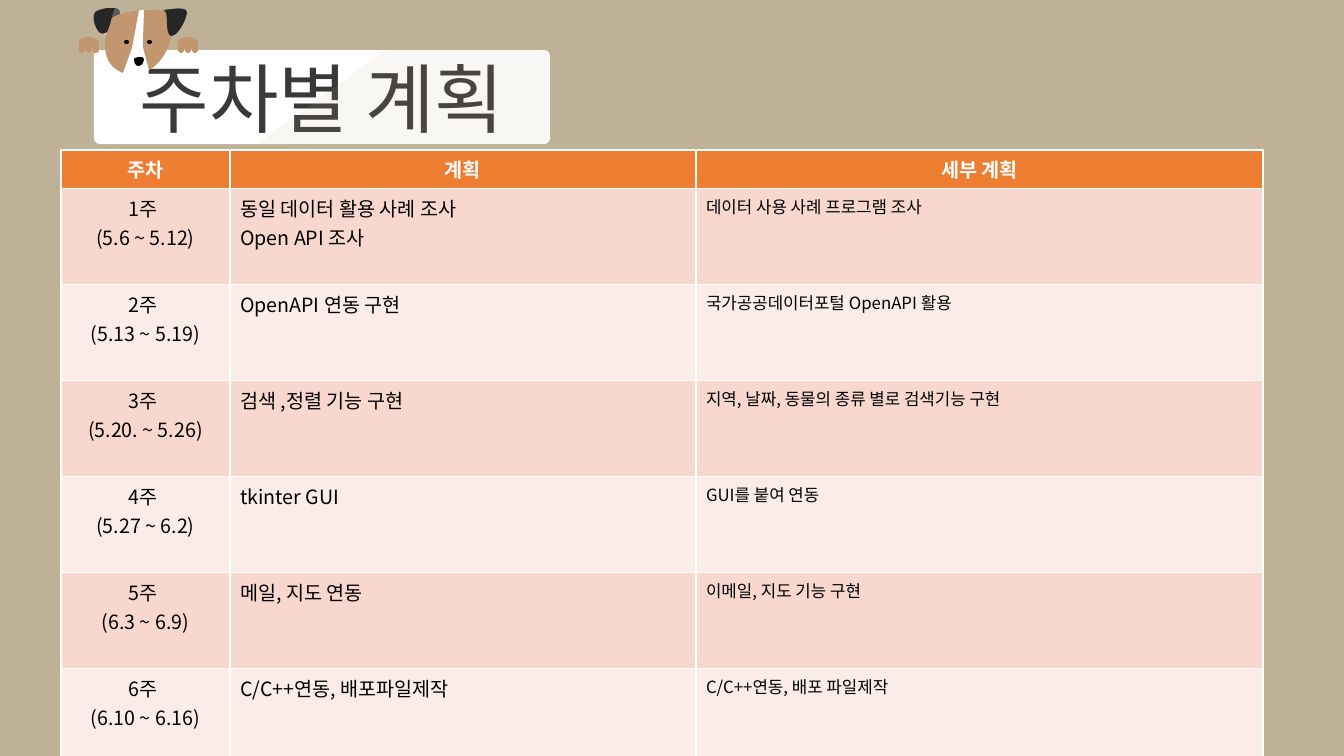
from lxml import etree
from pptx import Presentation
from pptx.dml.color import RGBColor
from pptx.enum.shapes import MSO_SHAPE
from pptx.enum.text import MSO_ANCHOR, PP_ALIGN
from pptx.oxml.ns import qn
from pptx.util import Pt

ROUND, OVAL = MSO_SHAPE.ROUNDED_RECTANGLE, MSO_SHAPE.OVAL
LEFT, MID = PP_ALIGN.LEFT, PP_ALIGN.CENTER
FACE = "Noto Sans CJK KR"
WIDE, HIGH = 1344, 756
UNIT = 12192000 / WIDE
HUES = {
    "sand": "BFB198", "white": "FFFFFF", "ink": "3B3838", "black": "000000",
    "head": "ED7D31", "odd": "F8D7CE", "even": "FCECE8",
    "fur": "C2966E", "gray": "595959", "dark": "262626",
}

TITLE = "주차별 계획"
HEADS = ["주차", "계획", "세부 계획"]
WEEKS = [
    ("1주 \n(5.6 ~ 5.12)", "동일 데이터 활용 사례 조사\nOpen API 조사", "데이터 사용 사례 프로그램 조사"),
    ("2주 \n(5.13 ~ 5.19)", "OpenAPI 연동 구현", "국가공공데이터포털 OpenAPI 활용"),
    ("3주 \n(5.20. ~ 5.26)", "검색 ,정렬 기능 구현", "지역, 날짜, 동물의 종류 별로 검색기능 구현"),
    ("4주 \n(5.27 ~ 6.2)", "tkinter GUI", "GUI를 붙여 연동"),
    ("5주 \n(6.3 ~ 6.9)", "메일, 지도 연동", "이메일, 지도 기능 구현"),
    ("6주 \n(6.10 ~ 6.16)", "C/C++연동, 배포파일제작", "C/C++연동, 배포 파일제작"),
]
COLS = [169, 466, 567]
ROWS = [37] + [96] * len(WEEKS)
SIZES = [14, 14, 12]

SHADE = [(386, 50), (536, 50), (543, 50, 549, 52, 549, 56), (549, 138),
         (549, 141, 543, 144, 536, 144), (257, 144)]
PALM = [(9, 0), (15, 0, 19, 2, 19, 5), (19, 7, 19, 9, 19, 11), (0, 11), (0, 5),
        (0, 2, 4, 0, 9, 0)]
PAWS = [178, 79]
DOG = [
    ("gray", [[(185, 12), (185, 8, 176, 8, 172, 9), (168, 9, 162, 9, 159, 15),
               (157, 21, 165, 33, 167, 34), (168, 36, 172, 36, 174, 34), (181, 27, 185, 16, 185, 12)]]),
    ("gray", [[(96, 14), (97, 10, 105, 9, 109, 8), (113, 8, 119, 7, 120, 12),
               (121, 17, 112, 30, 110, 32), (108, 34, 105, 34, 103, 33), (97, 27, 95, 18, 96, 14)]]),
    ("white", [[(106, 26), (109, 15, 132, 11, 143, 10), (155, 9, 172, 11, 173, 20),
                (175, 30, 161, 58, 152, 68), (143, 76, 124, 75, 119, 71), (103, 55, 104, 36, 106, 26)]]),
    ("fur", [[(139, 10), (132, 48), (128, 60, 128, 60, 123, 73), (99, 64, 105, 36, 107, 26),
              (108, 16, 122, 13, 133, 11)],
             [(143, 47), (143, 37, 144, 15, 144, 10), (154, 9, 173, 10, 173, 20),
              (174, 30, 170, 58, 149, 70)]]),
    ("black", [[(134, 59), (134, 58, 138, 57, 139, 57), (141, 57, 144, 57, 144, 59),
                (144, 60, 143, 66, 139, 66), (135, 67, 134, 61, 134, 59)]]),
    ("dark", [[(94, 14), (95, 10, 103, 9, 107, 8), (111, 8, 112, 8, 115, 8),
               (113, 11, 113, 13, 112, 17), (111, 21, 109, 29, 107, 32),
               (105, 34, 102, 34, 100, 33), (94, 27, 93, 18, 94, 14)]]),
    ("dark", [[(187, 12), (187, 8, 178, 8, 174, 9), (170, 9, 169, 9, 165, 10),
               (167, 13, 166, 15, 167, 19), (167, 23, 167, 32, 169, 34),
               (170, 37, 174, 36, 176, 34), (183, 27, 187, 16, 187, 12)]]),
]
EYES = [124, 147]


def px(n):
    return round(n * UNIT)


def hue(name):
    return RGBColor.from_string(HUES[name])


def paint(shape, name):
    shape.shadow.inherit = False
    shape.fill.solid()
    shape.fill.fore_color.rgb = hue(name)
    shape.line.fill.background()
    return shape


def block(kind, box, name):
    return paint(slide.shapes.add_shape(kind, *map(px, box)), name)


def trace(loops, name, dx=0, dy=0):
    form = None
    for loop in loops:
        dots = [(px(step[i] + dx), px(step[i + 1] + dy))
                for step in loop for i in range(0, len(step), 2)]
        if form is None:
            form = slide.shapes.build_freeform(*dots[0])
        else:
            form.move_to(*dots[0])
        form.add_line_segments(dots[1:], close=True)
    shape = paint(form.convert_to_shape(), name)
    lines = iter(list(shape._element.iter(qn("a:lnTo"))))
    for loop in loops:
        for step in loop[1:]:
            first = next(lines)
            if len(step) == 6:
                first.tag = qn("a:cubicBezTo")
                for spare in (next(lines), next(lines)):
                    first.append(spare[0])
                    spare.getparent().remove(spare)
    return shape


def write(frame, text, size, name, align, bold=False):
    frame.text = text
    for para in frame.paragraphs:
        para.alignment = align
        font = para.font
        font.name, font.size, font.bold = FACE, Pt(size), bold
        font.color.rgb = hue(name)


deck = Presentation()
deck.slide_width, deck.slide_height = px(WIDE), px(HIGH)
slide = deck.slides.add_slide(deck.slide_layouts[6])
slide.background.fill.solid()
slide.background.fill.fore_color.rgb = hue("sand")

card = block(ROUND, (94, 50, 456, 94), "white")
card.adjustments[0] = 0.06
card.text_frame.vertical_anchor = MSO_ANCHOR.MIDDLE
write(card.text_frame, TITLE, 54, "ink", MID)
shade = trace([SHADE], "sand")
tint = shade._element.spPr.find(qn("a:solidFill"))[0]
etree.SubElement(tint, qn("a:alpha"), val="10000")

for left in PAWS:
    for i in range(3):
        toe = block(ROUND, (left + 7 * i, 40, 6, 13), "fur")
        toe.adjustments[0] = 0.5
    trace([PALM], "fur", left, 37)
for name, loops in DOG:
    trace(loops, name)
for left in EYES:
    block(OVAL, (left, 40, 5, 4), "black")

box = (61, 150, sum(COLS), sum(ROWS))
grid = slide.shapes.add_table(len(ROWS), len(COLS), *map(px, box)).table
for col, width in zip(grid.columns, COLS):
    col.width = px(width)
for row, height in zip(grid.rows, ROWS):
    row.height = px(height)
for r, texts in enumerate([HEADS] + WEEKS):
    top = r == 0
    back = "head" if top else "odd" if r % 2 else "even"
    for c, text in enumerate(texts):
        cell = grid.cell(r, c)
        cell.fill.solid()
        cell.fill.fore_color.rgb = hue(back)
        write(cell.text_frame, text, 14 if top else SIZES[c], "white" if top else "black",
              MID if top or c == 0 else LEFT, top)

deck.save("out.pptx")
